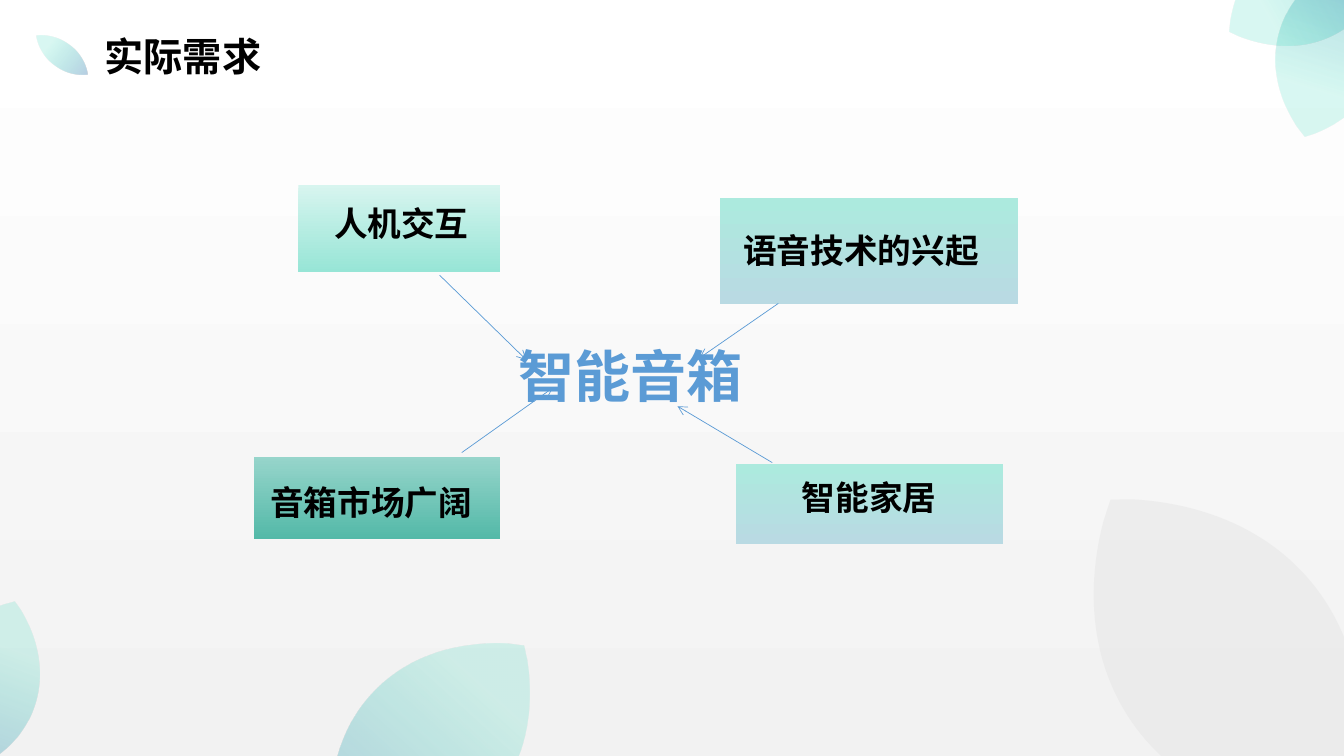
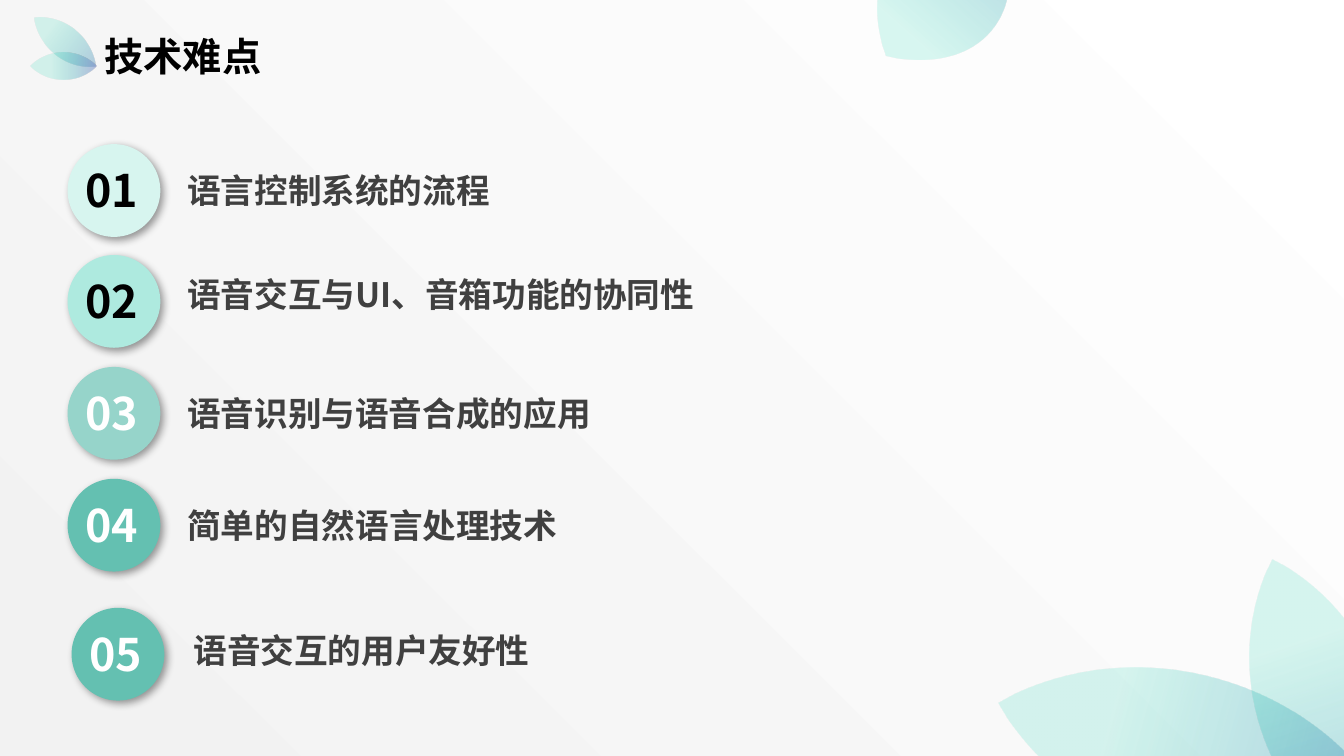
from lxml.etree import SubElement
from pptx import Presentation
from pptx.dml.color import RGBColor
from pptx.enum.shapes import MSO_CONNECTOR as CONNECTOR, MSO_SHAPE as SHAPE
from pptx.enum.text import PP_ALIGN as ALIGN
from pptx.oxml.ns import qn
from pptx.util import Inches, Pt

FONT = "Noto Sans CJK SC"
BLACK, WHITE, GREY, BLUE = "000000", "FFFFFF", "404040", "5B9BD5"
PAPER = [(0, WHITE), (1, "F2F2F2")]
LEAF = [(0.31, "09D1AB"), (1, "6E7DC3")]
LEAF_ALPHAS = [15, 50]
SHADE = "D9D9D9"
MINT = ["ACEADE", "B9DAE3"]


def paint(fill, colours, angle=90):
    if isinstance(colours, str):
        fill.solid()
        fill.fore_color.rgb = RGBColor.from_string(colours)
        return
    fill.gradient()
    fill.gradient_angle = 360 - angle
    for stop, (position, colour) in zip(fill.gradient_stops, colours):
        stop.position = position
        stop.color.rgb = RGBColor.from_string(colour)


def write(page, area, text, size, colour, align=ALIGN.LEFT):
    box = page.shapes.add_textbox(*map(Inches, area))
    box.text_frame.word_wrap = True
    para = box.text_frame.paragraphs[0]
    para.alignment = align
    span = para.add_run()
    span.text = text
    span.font.size = Pt(size)
    span.font.bold = True
    span.font.name = FONT
    paint(span.font.fill, colour)
    for props in box.element.iter(qn("a:rPr")):
        SubElement(props, qn("a:ea"), typeface=FONT)


quarter = [(0, -0.5), (0.08, -0.467), (0.336, -0.346), (0.5, -0.184), (0.5, 0)]
half = quarter + [(x, -y) for x, y in reversed(quarter[:-1])]
outline = half + [(-x, y) for x, y in reversed(half[1:-1])]
curve_starts = [1, 4, 9, 12]

deck = Presentation()
deck.slide_width, deck.slide_height = Inches(13.33), Inches(7.5)

pages = []
for title, angle, leaves in [
    ("实际需求", 90, [
        (0.49, 0.23, 0.25, 0.63, 307.6, LEAF),
        (-0.72, 5.91, 1.08, 1.86, 20.2, LEAF),
        (12.67, -0.47, 1.08, 1.86, 196.8, LEAF),
        (12.46, -1.08, 1.08, 1.86, 240.4, LEAF),
        (3.47, 6.05, 1.59, 2.75, 42.2, LEAF),
        (11.04, 4.58, 2.26, 3.92, 323.9, SHADE),
    ]),
    ("技术难点", 135, [
        (11.04, 5.49, 1.6, 4.02, 285.2, LEAF),
        (12.48, 5.47, 1.26, 3.15, 341.9, LEAF),
        (8.75, -0.94, 1.22, 1.71, 221.7, LEAF),
        (0.49, 0.03, 0.31, 0.77, 307.6, LEAF),
        (0.5, 0.33, 0.26, 0.65, 270, LEAF),
    ]),
]:
    page = deck.slides.add_slide(deck.slide_layouts[6])
    pages.append(page)
    paint(page.background.fill, PAPER, angle)
    for left, top, width, height, turn, colours in leaves:
        points = [(Inches(left + (0.5 + x) * width), Inches(top + (0.5 + y) * height)) for x, y in outline]
        builder = page.shapes.build_freeform(*points[0])
        builder.add_line_segments(points[1:], close=True)
        leaf = builder.convert_to_shape()
        segments = list(leaf.element.iter(qn("a:lnTo")))
        for start in curve_starts:
            curve = segments[start]
            curve.tag = qn("a:cubicBezTo")
            for segment in segments[start + 1:start + 3]:
                curve.append(segment[0])
                segment.getparent().remove(segment)
        leaf.rotation = turn
        leaf.shadow.inherit = False
        leaf.line.fill.background()
        paint(leaf.fill, colours)
        alphas = [28] if colours == SHADE else LEAF_ALPHAS
        for colour, alpha in zip(leaf.element.iter(qn("a:srgbClr")), alphas):
            SubElement(colour, qn("a:alpha"), val=str(alpha * 1000))
    write(page, (0.94, 0.27, 5.54, 0.6), title, 28, BLACK)

needs, challenges = pages

for card_area, colours, label_area, label in [
    ((2.96, 1.84, 2, 0.86), ["D7F5EF", "97E5D6"], (2.96, 1.96, 2.04, 0.53), "人机交互"),
    ((7.14, 1.96, 2.96, 1.06), MINT, (7.14, 2.23, 2.8, 0.53), "语音技术的兴起"),
    ((2.52, 4.53, 2.44, 0.82), ["97D5CB", "53B9A8"], (2.39, 4.73, 2.58, 0.53), "音箱市场广阔"),
    ((7.3, 4.6, 2.65, 0.8), MINT, (7.55, 4.68, 2.14, 0.53), "智能家居"),
]:
    card = needs.shapes.add_shape(SHAPE.RECTANGLE, *map(Inches, card_area))
    card.shadow.inherit = False
    card.line.fill.background()
    paint(card.fill, list(enumerate(colours)))
    write(needs, label_area, label, 24, BLACK, ALIGN.CENTER)

write(needs, (4.28, 3.34, 3.95, 0.81), "智能音箱", 40, BLUE, ALIGN.CENTER)

for ends in [
    (4.36, 2.73, 5.22, 3.57),
    (7.72, 3.01, 6.94, 3.55),
    (4.58, 4.49, 5.48, 3.85),
    (7.66, 4.59, 6.72, 4.03),
]:
    arrow = needs.shapes.add_connector(CONNECTOR.STRAIGHT, *map(Inches, ends))
    arrow.line.width = Pt(0.5)
    paint(arrow.line.fill, BLUE)
    SubElement(arrow.element.spPr.find(qn("a:ln")), qn("a:tailEnd"), type="arrow")
    SubElement(arrow.element.spPr, qn("a:effectLst"))

for number, (left, top, fill, ink, text_left, text_top, text_width, text) in enumerate([
    (0.67, 1.43, "D7F5EF", BLACK, 1.76, 1.64, 7.94, "语言控制系统的流程"),
    (0.67, 2.53, "AEEADF", BLACK, 1.76, 2.67, 7.87, "语音交互与UI、音箱功能的协同性"),
    (0.67, 3.64, "96D4CA", WHITE, 1.76, 3.85, 6.83, "语音识别与语音合成的应用"),
    (0.67, 4.75, "64C0B1", WHITE, 1.76, 4.96, 6.51, "简单的自然语言处理技术"),
    (0.71, 6.03, "64C0B1", WHITE, 1.82, 6.2, 6.51, "语音交互的用户友好性"),
], 1):
    disc = challenges.shapes.add_shape(SHAPE.OVAL, *map(Inches, (left, top, 0.92, 0.92)))
    disc.shadow.inherit = False
    disc.line.fill.background()
    paint(disc.fill, fill)
    effects = disc.element.spPr.find(qn("a:effectLst"))
    shadow = SubElement(effects, qn("a:outerShdw"), blurRad=str(Pt(6)), dist=str(Pt(3)),
                        dir=str(45 * 60000), algn="tl", rotWithShape="0")
    shade = SubElement(shadow, qn("a:srgbClr"), val=BLACK)
    SubElement(shade, qn("a:alpha"), val="40000")
    write(challenges, (left + 0.08, top + 0.14, 0.84, 0.64), f"{number:02}", 32, ink)
    write(challenges, (text_left, text_top, text_width, 0.5), text, 24, GREY)

deck.save("out.pptx")
